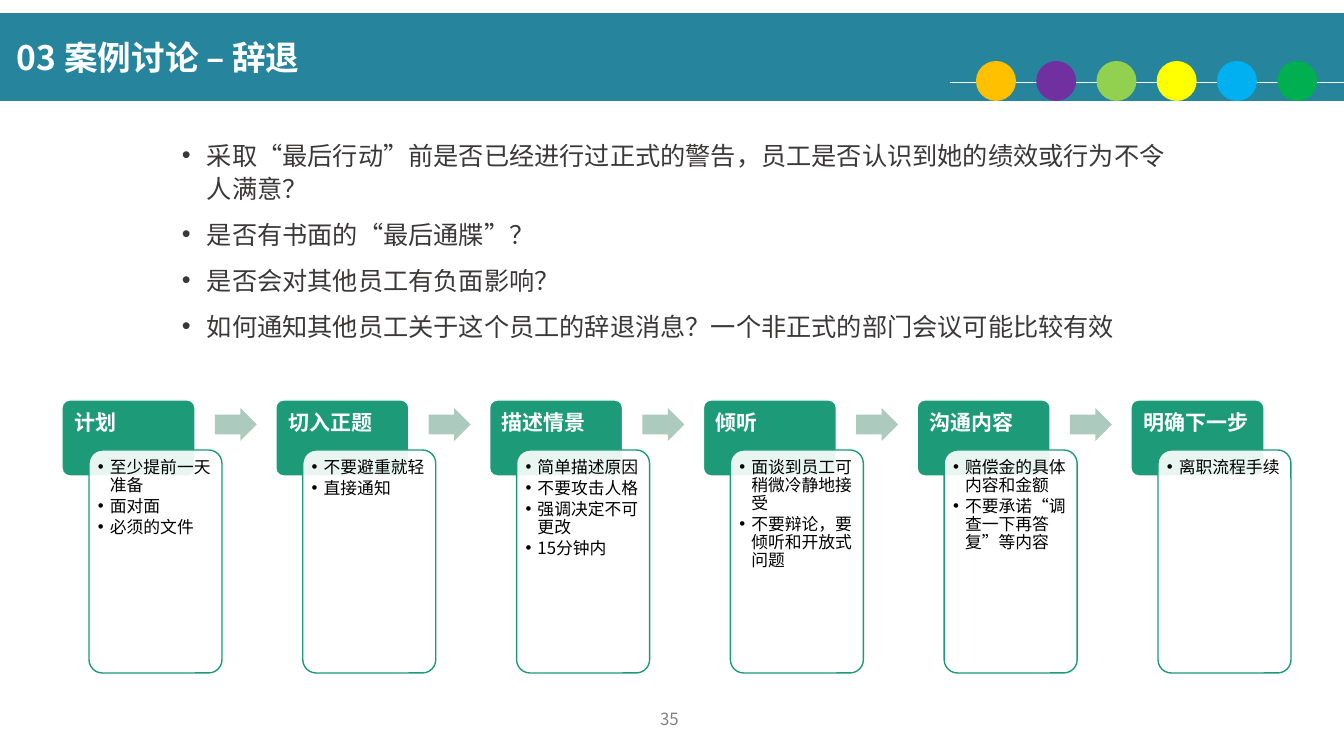
import pptx
import pptx.dml.color
import pptx.enum.shapes
import pptx.enum.text
import pptx.oxml.ns
import pptx.util
import lxml.etree

PX = 914400 / 100.8  # EMU in one px
SHAPE = pptx.enum.shapes.MSO_SHAPE
ALIGN = pptx.enum.text.PP_ALIGN
ANCHOR = pptx.enum.text.MSO_ANCHOR

THEME = {
    "font": "Noto Sans CJK SC",
    "banner": "26859D", "white": "FFFFFF", "green": "1D9A78", "arrow": "ACCABE",
    "ink": "3B3838", "black": "000000", "gray": "808080",
    "dots": ["FFC000", "7030A0", "92D050", "FFFF00", "00B0F0", "00B050"],
    "title": 24, "question": 18, "step": 15, "detail": 12, "page": 12,
}

QUESTIONS = [
    "采取“最后行动”前是否已经进行过正式的警告，员工是否认识到她的绩效或行为不令人满意？",
    "是否有书面的“最后通牒”？",
    "是否会对其他员工有负面影响？",
    "如何通知其他员工关于这个员工的辞退消息？一个非正式的部门会议可能比较有效",
]

STEPS = [
    ("计划", ["至少提前一天准备", "面对面", "必须的文件"]),
    ("切入正题", ["不要避重就轻", "直接通知"]),
    ("描述情景", ["简单描述原因", "不要攻击人格", "强调决定不可更改", "15分钟内"]),
    ("倾听", ["面谈到员工可稍微冷静地接受", "不要辩论，要倾听和开放式问题"]),
    ("沟通内容", ["赔偿金的具体内容和金额", "不要承诺“调查一下再答复”等内容"]),
    ("明确下一步", ["离职流程手续"]),
]


def px(n):
    return pptx.util.Emu(round(n * PX))


def rgb(name):
    return pptx.dml.color.RGBColor.from_string(THEME.get(name, name))


def sub(parent, tag, **attrs):
    return lxml.etree.SubElement(parent, pptx.oxml.ns.qn(tag), attrs)


def add_shape(slide, kind, box, fill, line=None, adj=()):
    sp = slide.shapes.add_shape(kind, *map(px, box))
    sp.shadow.inherit = False
    sp.fill.solid()
    sp.fill.fore_color.rgb = rgb(fill)
    if line:
        sp.line.color.rgb = rgb(line)
        sp.line.width = pptx.util.Pt(1)
    else:
        sp.line.fill.background()
    for i, value in enumerate(adj):
        sp.adjustments[i] = value
    return sp


def add_text(sp, lines, size, color, bold=False, indent=0, insets=(10, 5, 10, 5),
             anchor=ANCHOR.TOP, **paragraph):
    tf = sp.text_frame
    left, top, right, bottom = map(px, insets)
    frame = {"word_wrap": True, "vertical_anchor": anchor, "margin_left": left,
             "margin_top": top, "margin_right": right, "margin_bottom": bottom}
    for key, value in frame.items():
        setattr(tf, key, value)
    for i, line in enumerate(lines):
        p = tf.paragraphs[0] if i == 0 else tf.add_paragraph()
        for key, value in {"alignment": ALIGN.LEFT, **paragraph}.items():
            setattr(p, key, value)
        if indent:
            pPr = p._p.get_or_add_pPr()
            pPr.set("marL", str(px(indent)))
            pPr.set("indent", str(-px(indent)))
            sub(pPr, "a:buFont", typeface="Arial")
            sub(pPr, "a:buChar", char="•")
        r = p.add_run()
        r.text = line
        font = {"name": THEME["font"], "size": pptx.util.Pt(THEME[size]), "bold": bold}
        for key, value in font.items():
            setattr(r.font, key, value)
        r.font.color.rgb = rgb(color)
        sub(r._r.get_or_add_rPr(), "a:ea", typeface=THEME["font"])


def add_banner(slide, box, title):
    x, y, w, h = box
    sp = add_shape(slide, SHAPE.RECTANGLE, box, "banner")
    add_text(sp, [title], "title", "white", bold=True, insets=(17, 5, 10, 5),
             anchor=ANCHOR.MIDDLE)
    # Line with coloured dots
    line = slide.shapes.add_connector(pptx.enum.shapes.MSO_CONNECTOR.STRAIGHT,
                                      px(x + 950), px(y + 69), px(x + w), px(y + 69))
    line.line.color.rgb = rgb("white")
    line.line.width = pptx.util.Pt(0.5)
    sub(line._element.spPr, "a:effectLst")
    for i, color in enumerate(THEME["dots"]):
        add_shape(slide, SHAPE.OVAL, (x + 976 + i * 60.25, y + 48, 40, 40), color)


def add_questions(slide, box):
    sp = slide.shapes.add_textbox(*map(px, box))
    add_text(sp, QUESTIONS, "question", "ink", indent=25,
             line_spacing=1.1, space_after=pptx.util.Pt(9))


def add_step(slide, box, name, details):
    x, y, w, h = box
    # Header behind the detail card
    head = add_shape(slide, SHAPE.ROUNDED_RECTANGLE, (x, y, w, 76), "green", "white", [0.1])
    add_text(head, [name], "step", "white", bold=True, insets=(10, 10, 5, 5),
             line_spacing=0.9)
    # Slightly transparent detail card
    card = add_shape(slide, SHAPE.ROUNDED_RECTANGLE, (x + 27, y + 50, w, h - 50),
                     "white", "green", [0.1])
    clr = card._element.spPr.find(".//" + pptx.oxml.ns.qn("a:srgbClr"))
    sub(clr, "a:alpha", val="90000")
    add_text(card, details, "detail", "black", indent=12, insets=(5, 5, 5, 5),
             line_spacing=0.9, space_after=pptx.util.Pt(2))


def add_process(slide, box):
    x, y, w, h = box
    step_w = 133
    pitch = (w - step_w - 27) / (len(STEPS) - 1)
    for i, (name, details) in enumerate(STEPS):
        left = x + i * pitch
        if i:
            add_shape(slide, SHAPE.RIGHT_ARROW, (left - 61, y + 8, 42, 33), "arrow",
                      adj=[0.6, 0.5])
        add_step(slide, (left, y, step_w, h), name, details)


def add_page_number(slide, box, number):
    sp = slide.shapes.add_textbox(*map(px, box))
    add_text(sp, [number], "page", "gray", alignment=ALIGN.CENTER)


def main():
    prs = pptx.Presentation()
    prs.slide_width, prs.slide_height = px(1344), px(756)
    slide = prs.slides.add_slide(prs.slide_layouts[6])
    add_page_number(slide, (513, 704, 313, 52), "35")
    add_banner(slide, (0, 13, 1344, 88), "03 案例讨论 – 辞退")
    add_process(slide, (62, 400, 1229, 273))
    add_questions(slide, (172, 132, 1025, 222))
    prs.save("out.pptx")


if __name__ == "__main__":
    main()
